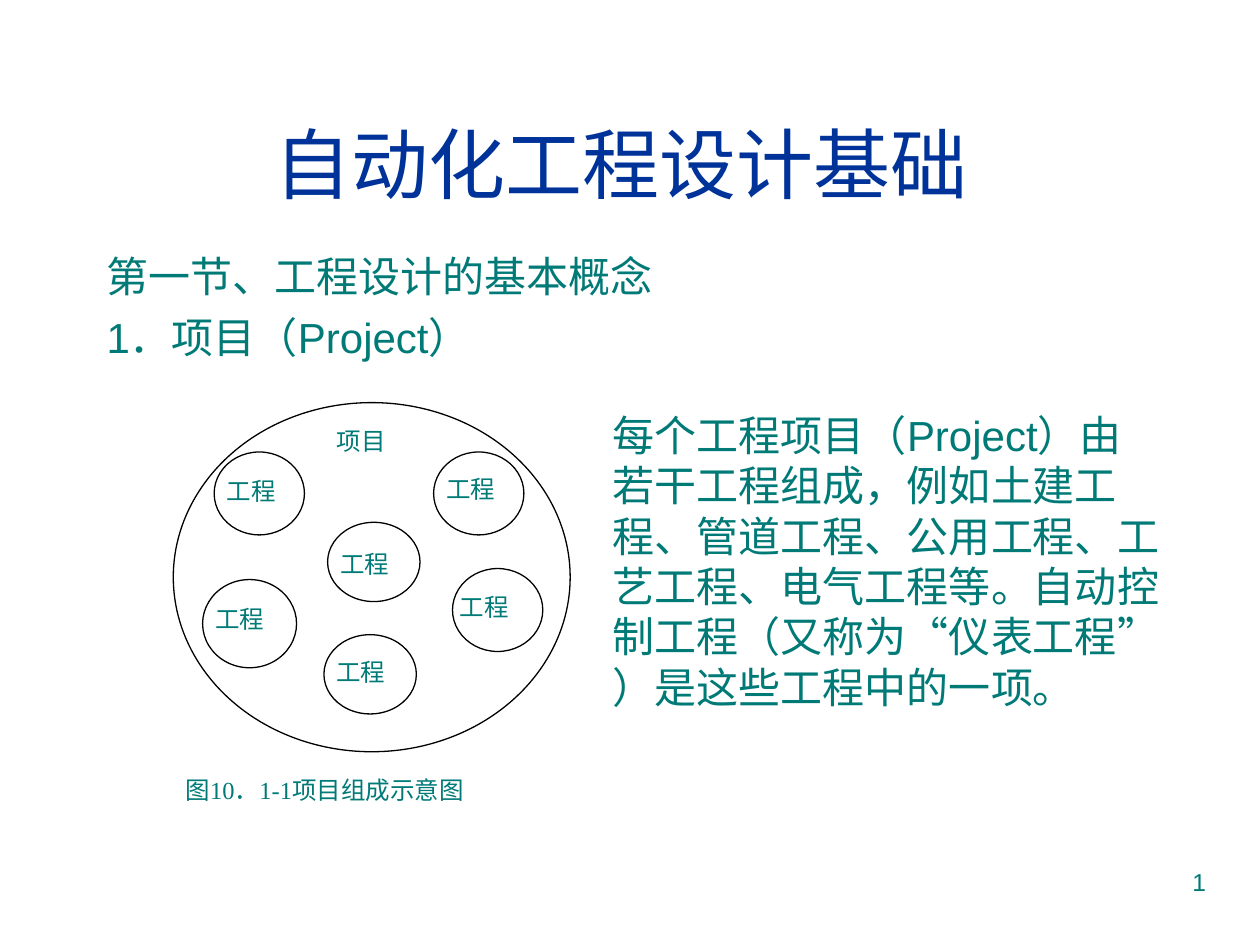
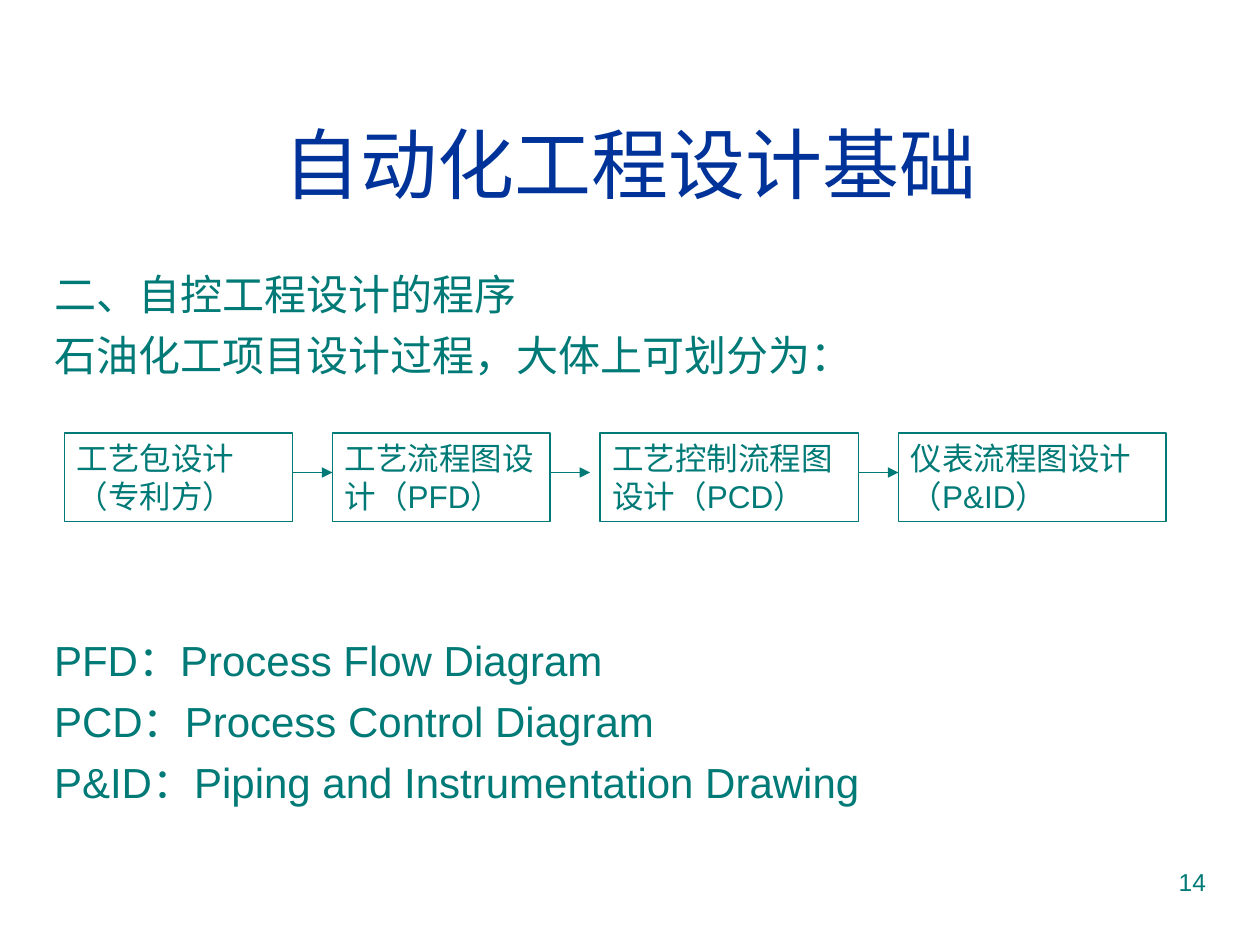
from dataclasses import dataclass

from lxml.etree import SubElement
from pptx import Presentation
from pptx.dml.color import RGBColor
from pptx.enum.lang import MSO_LANGUAGE_ID as Language
from pptx.enum.shapes import MSO_CONNECTOR as Connector, MSO_SHAPE as Shape
from pptx.enum.text import MSO_ANCHOR as Anchor, MSO_AUTO_SIZE as AutoSize, PP_ALIGN as Align
from pptx.oxml.ns import qn
from pptx.util import Inches, Pt

COLORS = {"title": "003399", "text": "007A77", "outline": "000000"}
CELL = Inches(10) / 120
LINE_WIDTH = Pt(0.75)


@dataclass(frozen=True)
class Box:
    """A rectangle in columns and rows of a 120 by 90 grid."""

    left: float
    top: float
    width: float
    height: float

    def inner(self, left, top, width, height):
        """Return a box placed relative to this one."""
        return Box(self.left + left, self.top + top, width, height)

    def lengths(self):
        """Return left, top, width and height as slide lengths."""
        return [cells(value) for value in (self.left, self.top, self.width, self.height)]


@dataclass(frozen=True)
class TextStyle:
    """The look of a piece of text."""

    size: float
    font: str = "Arial"
    color: str = "text"
    align: Align = Align.LEFT


TITLE = TextStyle(44, color="title", align=Align.CENTER)
BODY = TextStyle(24)
STEP = TextStyle(18)
NUMBER = TextStyle(14, align=Align.RIGHT)
LABEL = TextStyle(14, "Times New Roman", align=Align.JUSTIFY)

TITLE_BOX = Box(4, 8, 112, 15)
NUMBER_BOX = Box(86.05, 82, 30, 6.2)


def cells(count):
    """Turn a number of grid cells into a slide length."""
    return round(count * CELL)


def color(name):
    """Look up a colour by name."""
    return RGBColor.from_string(COLORS[name])


def write(paragraph, text, style):
    """Add one styled run to a paragraph, keeping punctuation inside the margin."""
    paragraph.alignment = style.align
    paragraph._p.get_or_add_pPr().set("hangingPunct", "0")
    run = paragraph.add_run()
    run.text = text
    run.font.size = Pt(style.size)
    run.font.name = style.font
    run.font.color.rgb = color(style.color)
    run.font.language_id = Language.SIMPLIFIED_CHINESE


def prepare_frame(shape, anchor=Anchor.TOP):
    """Give a shape's text frame the common layout and return it."""
    frame = shape.text_frame
    frame.word_wrap = True
    frame.auto_size = AutoSize.NONE
    frame.vertical_anchor = anchor
    return frame


def place(shape, box):
    """Move and size a shape to fit a box."""
    shape.left, shape.top, shape.width, shape.height = box.lengths()


def add_text(slide, box, text, style):
    """Add a text box with one paragraph."""
    frame = prepare_frame(slide.shapes.add_textbox(*box.lengths()))
    write(frame.paragraphs[0], text, style)


def add_outline(slide, kind, box, line_color):
    """Add an unfilled preset shape with a thin outline."""
    shape = slide.shapes.add_shape(kind, *box.lengths())
    shape.shadow.inherit = False
    shape.fill.background()
    shape.line.color.rgb = color(line_color)
    shape.line.width = LINE_WIDTH
    return shape


def add_arrow(slide, start, end, row):
    """Add a horizontal arrow between two columns."""
    arrow = slide.shapes.add_connector(
        Connector.STRAIGHT, cells(start), cells(row), cells(end), cells(row))
    arrow.line.color.rgb = color("text")
    arrow.line.width = LINE_WIDTH
    SubElement(arrow.line._get_or_add_ln(), qn("a:tailEnd"), type="triangle")
    SubElement(arrow._element.spPr, qn("a:effectLst"))


def fill_body(slide, box, lines, indent=0):
    """Fill the body placeholder with (text, space before) lines without bullets."""
    body = slide.placeholders[1]
    place(body, box)
    frame = prepare_frame(body)
    for index, (text, space) in enumerate(lines):
        paragraph = frame.add_paragraph() if index else frame.paragraphs[0]
        properties = paragraph._p.get_or_add_pPr()
        properties.set("marL", str(Inches(indent)))
        properties.set("indent", str(-Inches(indent)))
        SubElement(properties, qn("a:buNone"))
        paragraph.space_before = Pt(space)
        write(paragraph, text, BODY)


def start_slide(presentation, title, number):
    """Add a slide with its title and page number."""
    slide = presentation.slides.add_slide(presentation.slide_layouts[1])
    place(slide.shapes.title, TITLE_BOX)
    frame = prepare_frame(slide.shapes.title, Anchor.MIDDLE)
    write(frame.paragraphs[0], title, TITLE)
    add_text(slide, NUMBER_BOX, number, NUMBER)
    return slide


def draw_project_diagram(slide, box):
    """Draw the project oval, the engineering circles in it and the caption."""
    add_outline(slide, Shape.OVAL, box, "outline")
    circles = [
        ((3.9, 4.7, 8.6, 7.9), (0, 1.7)),
        ((24.8, 4.7, 8.6, 7.9), (0, 1.55)),
        ((14.7, 11.4, 8.8, 7.55), (0, 1.95)),
        ((2.8, 16.85, 8.95, 8.4), (0, 1.75)),
        ((26.6, 15.8, 8.6, 7.9), (-0.5, 1.6)),
        ((14.35, 22.1, 8.8, 7.55), (0, 1.55)),
    ]
    for position, offset in circles:
        circle = box.inner(*position)
        add_outline(slide, Shape.OVAL, circle, "outline")
        add_text(slide, circle.inner(*offset, 10.4, 7.2), "工程", LABEL)
    add_text(slide, box.inner(14.4, 1.6, 9.1, 4.8), "项目", LABEL)
    add_text(slide, box.inner(0, 34.9, box.width, 4.8), "图10．1-1项目组成示意图", LABEL)


def draw_design_flow(slide, box):
    """Draw the row of design steps and the arrows between them."""
    steps = [
        ("工艺包设计（专利方）", 0, 21.7),
        ("工艺流程图设计（PFD）", 25.5, 20.75),
        ("工艺控制流程图设计（PCD）", 51, 24.6),
        ("仪表流程图设计（P&ID）", 79.4, 25.5),
    ]
    arrow_length = 3.8
    for index, (text, left, width) in enumerate(steps):
        step = box.inner(left, 0, width, box.height)
        frame = prepare_frame(add_outline(slide, Shape.RECTANGLE, step, "text"))
        write(frame.paragraphs[0], text, STEP)
        if index < len(steps) - 1:
            end = step.left + width
            add_arrow(slide, end, end + arrow_length, box.top + 3.75)


def build_project_slide(presentation):
    """Build the slide on what a project is."""
    slide = start_slide(presentation, "自动化工程设计基础 ", "1")
    fill_body(slide, Box(8.95, 23.3, 103, 59.5), [
        ("第一节、工程设计的基本概念", 0),
        ("1．项目（Project）", 6),
    ])
    draw_project_diagram(slide, Box(16.5, 38.35, 37.8, 33.25))
    add_text(
        slide, Box(57.2, 38.4, 54.8, 30),
        "每个工程项目（Project）由若干工程组成，例如土建工程、管道工程、公用工程、"
        "工艺工程、电气工程等。自动控制工程（又称为“仪表工程” ）是这些工程中的一项。",
        BODY)


def build_procedure_slide(presentation):
    """Build the slide on the design procedure."""
    slide = start_slide(presentation, "自动化工程设计基础", "14")
    fill_body(slide, Box(3.95, 25, 112, 55), [
        ("二、自控工程设计的程序", 0),
        ("石油化工项目设计过程，大体上可划分为：", 6),
        ("PFD：Process Flow Diagram", 145.5),
        ("PCD：Process Control Diagram", 6),
        ("P&ID：Piping and Instrumentation Drawing", 6),
    ], indent=0.38)
    draw_design_flow(slide, Box(6.15, 41.25, 104.9, 8.4))


def main():
    """Build and save the presentation."""
    presentation = Presentation()
    presentation.slide_width = Inches(10)
    presentation.slide_height = Inches(7.5)
    build_project_slide(presentation)
    build_procedure_slide(presentation)
    presentation.save("out.pptx")


if __name__ == "__main__":
    main()
